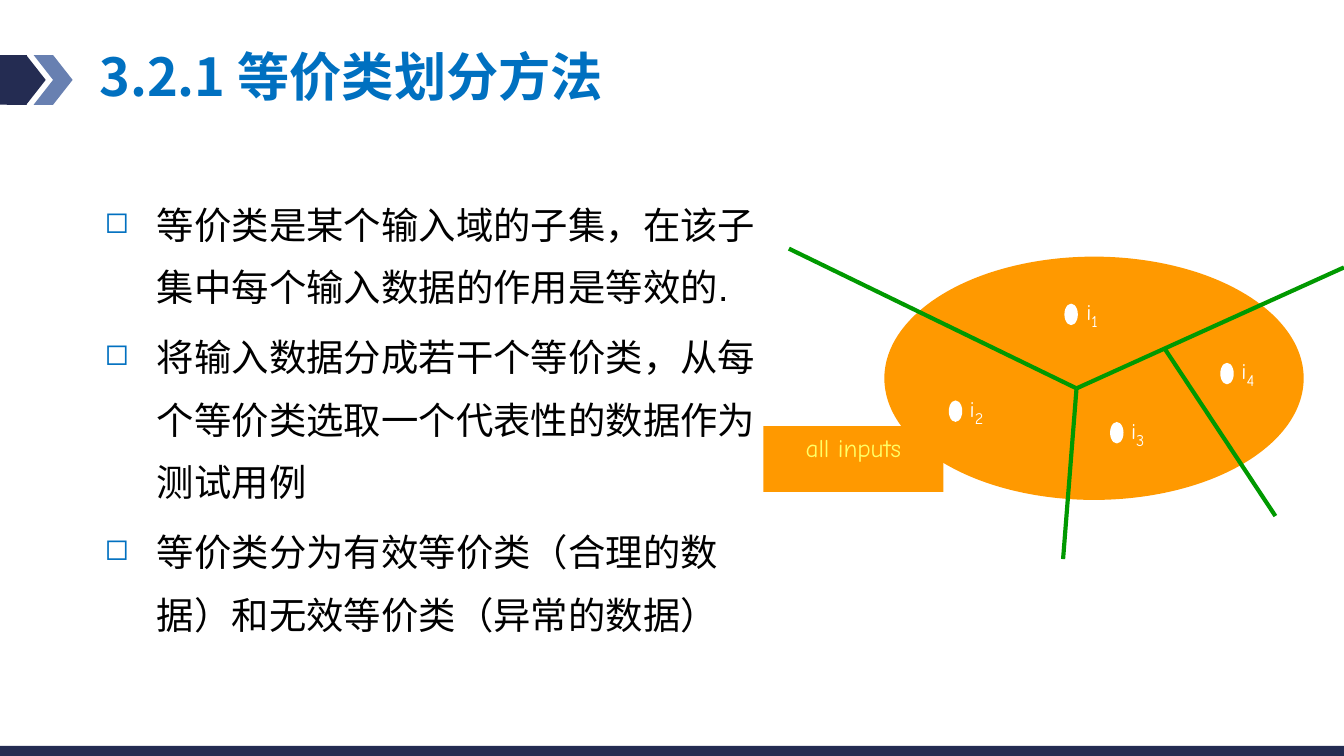
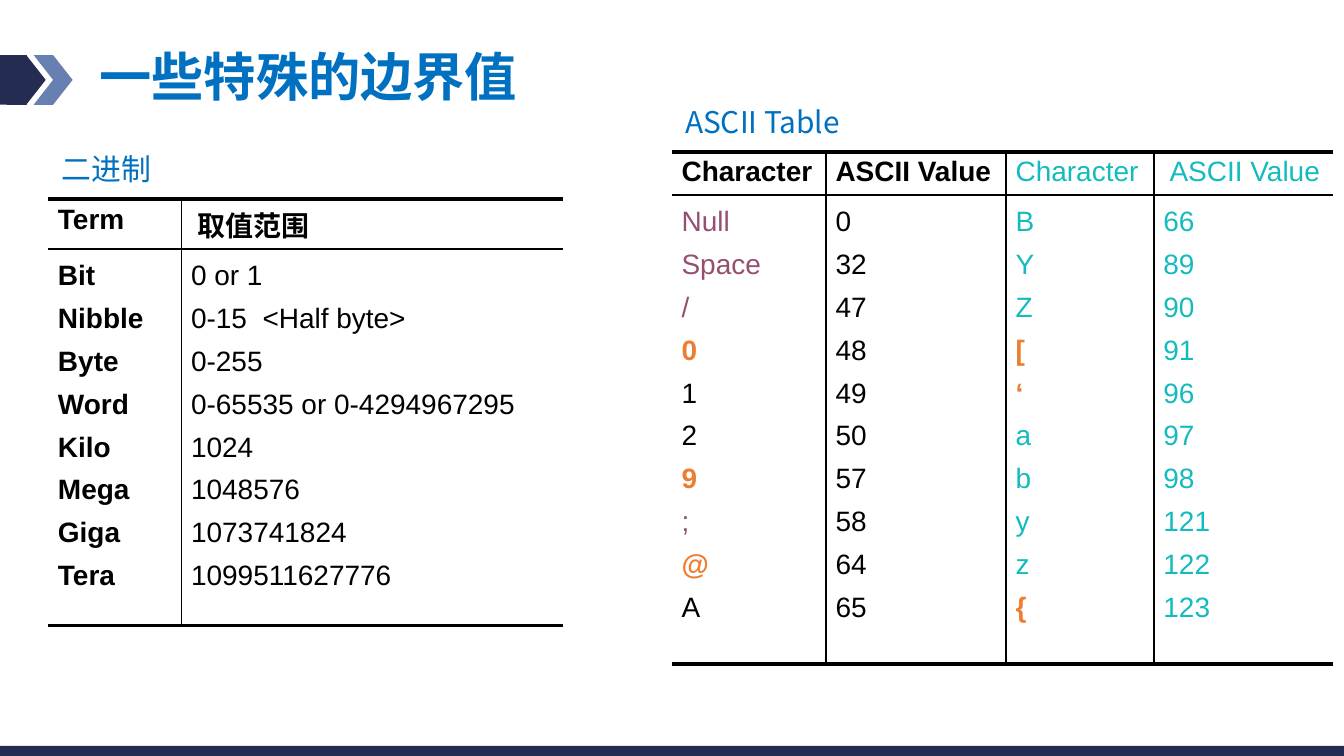
from lxml import etree
from pptx import Presentation
from pptx.dml.color import RGBColor
from pptx.enum.shapes import MSO_CONNECTOR, MSO_SHAPE
from pptx.enum.text import MSO_ANCHOR, MSO_AUTO_SIZE, PP_ALIGN
from pptx.oxml.ns import qn
from pptx.util import Inches, Pt

WIDTH = Inches(10)
HEIGHT = WIDTH * 9 // 16
COLS = 100
ROWS = COLS * 9 / 16
LATIN, CJK, HAND = "Arial", "Noto Sans CJK SC", "Comic Neue"
COLORS = {
    "navy": "242C52", "steel": "6880B1", "blue": "0070C0", "black": "000000",
    "white": "FFFFFF", "domain": "FF9900", "yellow": "FFFF66", "green": "009900",
    "teal": "13BBBF", "purple": "954F72", "orange": "ED7D31",
}
MARKS = {
    **dict.fromkeys(["Null", "Space", "/", ";"], ("purple", False)),
    **dict.fromkeys(["0", "9", "@", "[", "‘", "{"], ("orange", True)),
}
THICK, THIN = 2.25, 1


def rgb(name):
    return RGBColor.from_string(COLORS[name])


def across(cols):
    return round(WIDTH * cols / COLS)


def down(rows):
    return round(HEIGHT * rows / ROWS)


def area(x, y, w, h):
    return across(x), down(y), across(w), down(h)


def sub(parent, tag, **attrs):
    el = etree.SubElement(parent, qn(tag))
    for key, value in attrs.items():
        el.set(key, str(value))
    return el


def write(p, text, size=15, font=LATIN, color="black", bold=False, baseline=None,
          align=None, spacing=None, before=None):
    r = p.add_run()
    r.text = text
    r.font.size, r.font.bold, r.font.name = Pt(size), bold, font
    r.font.color.rgb = rgb(color)
    rpr = r.font._element
    if font == CJK or max(text) > "⺀":
        sub(rpr, "a:ea", typeface=CJK)
    if baseline:
        rpr.set("baseline", str(baseline * 1000))
    if align is not None:
        p.alignment = align
    if spacing is not None:
        p.line_spacing = spacing
    if before is not None:
        p.space_before = Pt(before)


def write_list(tf, texts, style, gap, bullet=None):
    for i, text in enumerate(texts):
        p = tf.paragraphs[0] if i == 0 else tf.add_paragraph()
        if bullet:
            bullet(p)
        write(p, text, before=gap if i else None, **style(text))


def square_bullet(p):
    ppr = p._p.get_or_add_pPr()
    ppr.set("marL", str(across(3.9)))
    ppr.set("indent", str(-across(3.9)))
    sub(sub(ppr, "a:buClr"), "a:srgbClr", val=COLORS["blue"])
    sub(ppr, "a:buSzPct", val=80000)
    sub(ppr, "a:buChar", char="◻")


def add_box(s, box, wrap=True):
    tf = s.shapes.add_textbox(*area(*box)).text_frame
    tf.word_wrap = wrap
    return tf


def add_block(s, kind, box, color):
    sp = s.shapes.add_shape(kind, *area(*box))
    sp.shadow.inherit = False
    sp.fill.solid()
    sp.fill.fore_color.rgb = rgb(color)
    sp.line.fill.background()
    return sp


def add_line(s, start, end):
    line = s.shapes.add_connector(MSO_CONNECTOR.STRAIGHT, across(start[0]), down(start[1]),
                                  across(end[0]), down(end[1]))
    line.line.color.rgb = rgb("green")
    line.line.width = Pt(2.25)
    sub(line._element.spPr, "a:effectLst")


def add_slide(prs, title):
    s = prs.slides.add_slide(prs.slide_layouts[5])
    add_block(s, MSO_SHAPE.RECTANGLE, (0, 4.1, 2, 3.7), "navy")
    add_block(s, MSO_SHAPE.CHEVRON, (2.5, 4.1, 2.9, 3.7), "steel")
    add_block(s, MSO_SHAPE.CHEVRON, (0.5, 4.1, 2.9, 3.7), "navy")
    add_block(s, MSO_SHAPE.RECTANGLE, (0, 55.5, COLS, ROWS - 55.5), "navy")
    sp = s.shapes.title
    sp.left, sp.top, sp.width, sp.height = area(6.4, 3.1, 80.5, 5.7)
    tf = sp.text_frame
    tf.auto_size = MSO_AUTO_SIZE.NONE
    tf.vertical_anchor = MSO_ANCHOR.MIDDLE
    write(tf.paragraphs[0], title, size=28, font=CJK, color="blue", bold=True,
          align=PP_ALIGN.LEFT, spacing=0.9)
    return s


def add_input(s, x, y, index):
    add_block(s, MSO_SHAPE.OVAL, (x, y, 1, 1.6), "white")
    p = add_box(s, (x - 0.2, y - 1.3, 4.5, 4.6), wrap=False).paragraphs[0]
    write(p, "i", size=12, font=HAND, color="white", align=PP_ALIGN.CENTER)
    write(p, index, size=15, font=HAND, color="white", baseline=-25)


def add_domain(s):
    add_block(s, MSO_SHAPE.OVAL, (65.8, 19.1, 31.2, 18.1), "domain")
    tf = add_block(s, MSO_SHAPE.RECTANGLE, (56.8, 31.7, 13.4, 4.9), "domain").text_frame
    tf.word_wrap = False
    tf.vertical_anchor = MSO_ANCHOR.TOP
    write(tf.paragraphs[0], "all inputs", size=13.5, font=HAND, color="yellow",
          align=PP_ALIGN.CENTER)
    hub = (80.1, 28.9)
    for end in [(58.7, 18.5), (79.1, 41.6), (100, 19.9)]:
        add_line(s, hub, end)
    add_line(s, (86.7, 26), (94.9, 38.4))
    for x, y, index in [(79.2, 22.6, "1"), (90.8, 27, "4"), (70.6, 29.8, "2"), (82.6, 31.4, "3")]:
        add_input(s, x, y, index)


def set_borders(cell, **widths):
    tcpr = cell._tc.get_or_add_tcPr()
    for i, side in enumerate("LRTB"):
        ln = etree.Element(qn(f"a:ln{side}"))
        if widths.get(side):
            ln.set("w", str(Pt(widths[side])))
            sub(sub(ln, "a:solidFill"), "a:srgbClr", val=COLORS["black"])
        else:
            sub(ln, "a:noFill")
        tcpr.insert(i, ln)


def column(width, header, entries, color="black", head_bold=True, bold=False, marks=None):
    def style(text):
        tint, weight = (marks or {}).get(text, (color, bold))
        return {"color": tint, "bold": weight, "spacing": 1.2}

    def head_style(text):
        return {"color": color, "bold": head_bold}

    return {"width": width, "cells": [([header], head_style), (entries, style)]}


def add_ruled_table(s, x, y, heights, columns):
    widths = [c["width"] for c in columns]
    table = s.shapes.add_table(2, len(columns), *area(x, y, sum(widths), sum(heights))).table
    table.horz_banding = False
    for row, height in zip(table.rows, heights):
        row.height = down(height)
    last = len(columns) - 1
    for j, col in enumerate(columns):
        table.columns[j].width = across(col["width"])
        for i, (texts, style) in enumerate(col["cells"]):
            cell = table.cell(i, j)
            cell.margin_left = cell.margin_right = across(0.72)
            cell.margin_top = cell.margin_bottom = down(0.36)
            cell.fill.background()
            set_borders(cell, L=THIN if j else 0, R=THIN if j < last else 0,
                        T=THIN if i else THICK, B=THICK if i else THIN)
            write_list(cell.text_frame, texts, style, gap=3)


def add_caption(s, x, y, w, text):
    write(add_box(s, (x, y, w, 3.7)).paragraphs[0], text, size=16, font=CJK, color="blue")


def build_partition(prs):
    s = add_slide(prs, "3.2.1 等价类划分方法")
    points = [
        "等价类是某个输入域的子集，在该子集中每个输入数据的作用是等效的.",
        "将输入数据分成若干个等价类，从每个等价类选取一个代表性的数据作为测试用例",
        "等价类分为有效等价类（合理的数据）和无效等价类（异常的数据）",
    ]
    write_list(add_box(s, (6.8, 13.2, 51.7, 34.8)), points,
               lambda text: {"size": 20, "spacing": Pt(33.5)}, gap=4, bullet=square_bullet)
    add_domain(s)


def build_boundaries(prs):
    s = add_slide(prs, "一些特殊的边界值")
    terms = "Bit Nibble Byte Word Kilo Mega Giga Tera".split()
    ranges = ["0 or 1", "0-15  <Half byte>", "0-255", "0-65535 or 0-4294967295",
              "1024", "1048576", "1073741824", "1099511627776"]
    add_ruled_table(s, 3.6, 14.8, (3.3, 28), [
        column(9.9, "Term", terms, bold=True),
        column(28.4, " 取值范围", ranges),
    ])
    add_caption(s, 3.6, 10.7, 10.9, "二进制")
    late = {"color": "teal", "head_bold": False}
    add_ruled_table(s, 50, 11.3, (2.9, 34.9), [
        column(11.45, "Character", "Null Space / 0 1 2 9 ; @ A".split(), marks=MARKS),
        column(13.4, "ASCII Value", "0 32 47 48 49 50 57 58 64 65".split()),
        column(11, "Character", "B Y Z [ ‘ a b y z {".split(), marks=MARKS, **late),
        column(13.35, " ASCII Value", "66 89 90 91 96 97 98 121 122 123".split(), **late),
    ])
    add_caption(s, 50, 7.2, 19.4, "ASCII Table")


def main():
    prs = Presentation()
    prs.slide_width, prs.slide_height = WIDTH, HEIGHT
    build_partition(prs)
    build_boundaries(prs)
    prs.save("out.pptx")


if __name__ == "__main__":
    main()
